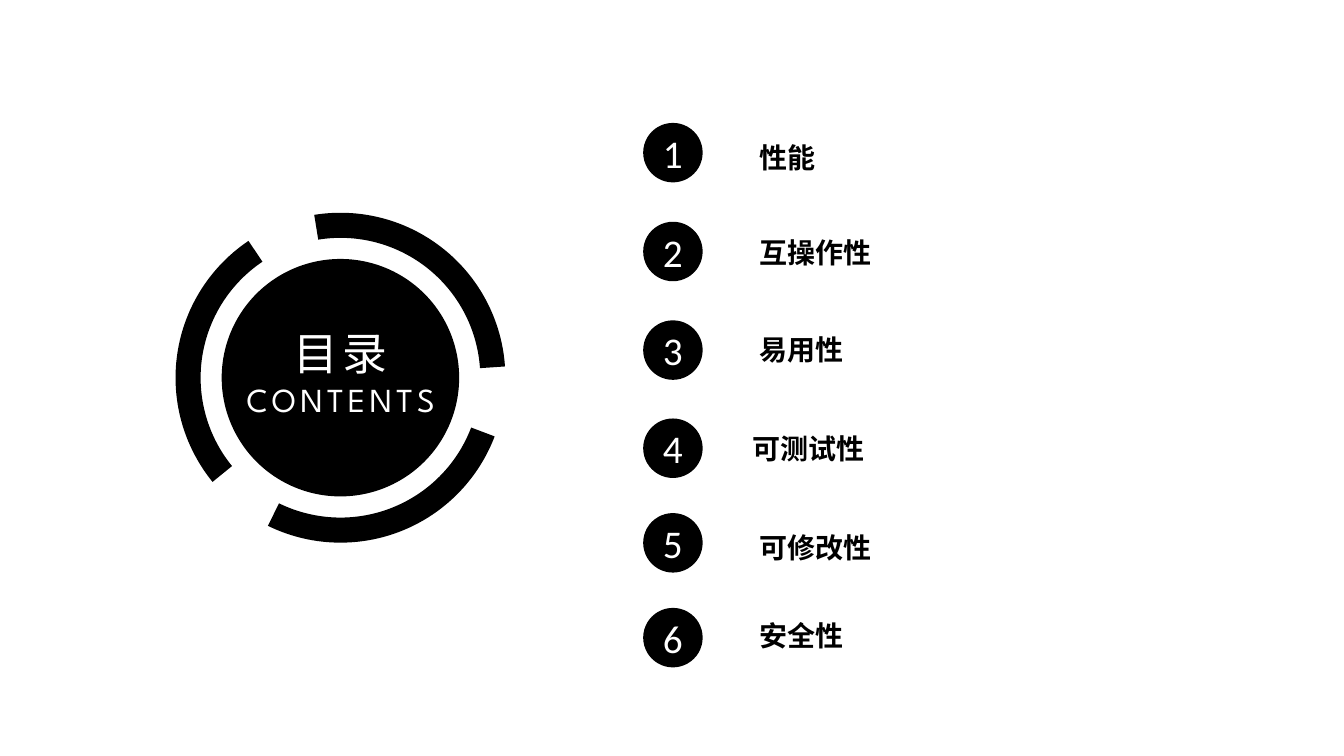
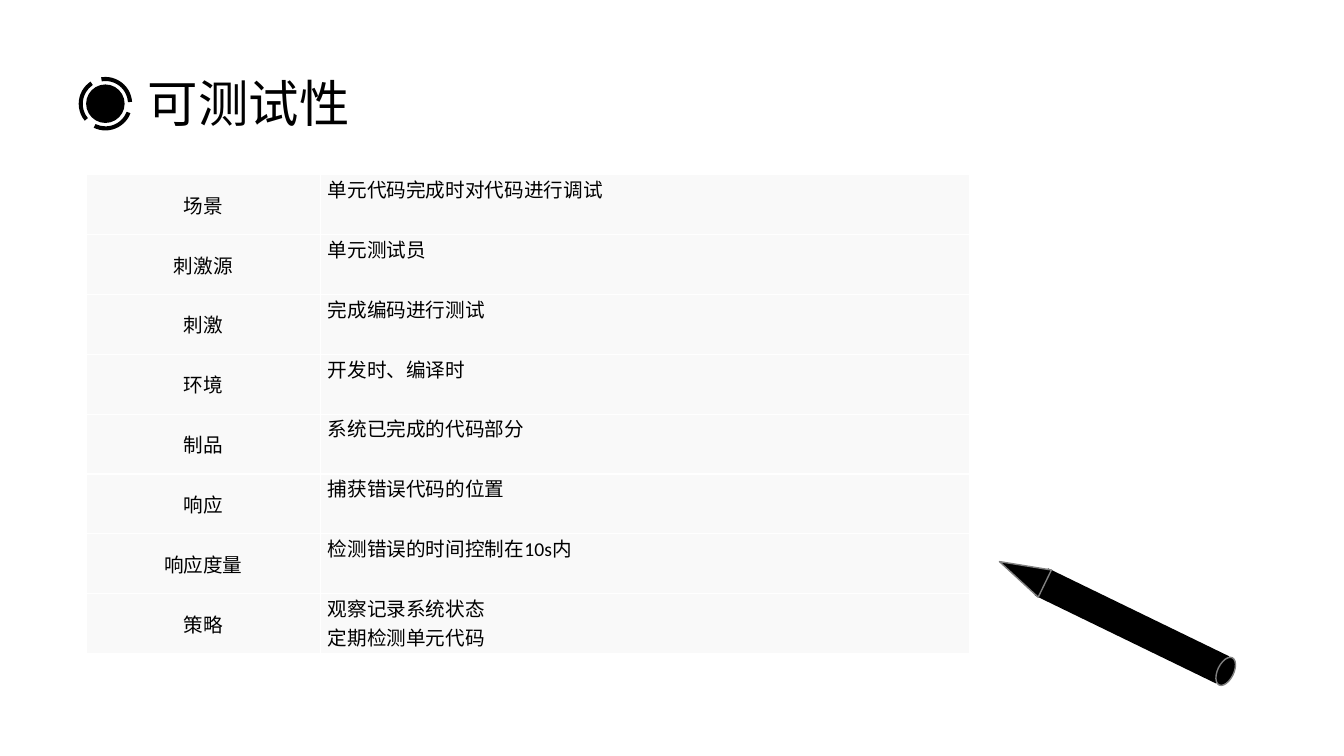
from lxml.etree import SubElement
from pptx import Presentation
from pptx.dml.color import RGBColor
from pptx.enum.shapes import MSO_SHAPE
from pptx.enum.text import MSO_ANCHOR, PP_ALIGN
from pptx.oxml.ns import qn
from pptx.util import Pt

COLORS = {"ink": "000000", "paper": "FFFFFF", "cell": "F9F9F9", "edge": "808080"}
BODY, HEAD, HAN = "Calibri", "League Spartan", "Noto Sans CJK SC"

TOPICS = [
    ("性能", 87.8, 96.5, 535.7),
    ("互操作性", 158.4, 164.2, 535.7),
    ("易用性", 228.8, 234, 535.7),
    ("可测试性", 298.9, 304.6, 530.6),
    ("可修改性", 366.5, 375.1, 535.7),
    ("安全性", 434.2, 437.8, 535.7),
]

ROWS = [
    ("场景", ["单元代码完成时对代码进行调试"]),
    ("刺激源", ["单元测试员"]),
    ("刺激", ["完成编码进行测试"]),
    ("环境", ["开发时、编译时"]),
    ("制品", ["系统已完成的代码部分"]),
    ("响应", ["捕获错误代码的位置"]),
    ("响应度量", ["检测错误的时间控制在10s内"]),
    ("策略", ["观察记录系统状态", "定期检测单元代码"]),
]


def color(name):
    return RGBColor.from_string(COLORS[name])


def write(frame, text, size=14, font=BODY, ink="ink", bold=False,
          align=PP_ALIGN.LEFT, gap=0, more=False):
    para = frame.add_paragraph() if more else frame.paragraphs[0]
    para.alignment = align
    run = para.add_run()
    run.text = text
    run.font.size = Pt(size)
    run.font.name = font
    run.font.bold = bold
    run.font.color.rgb = color(ink)
    props = run.font._element
    SubElement(props, qn("a:ea"), typeface=HAN)
    if gap:
        props.set("spc", str(gap * 100))


def box(slide, x, y, wide, high, anchor=MSO_ANCHOR.TOP):
    frame = slide.shapes.add_textbox(Pt(x), Pt(y), Pt(wide), Pt(high)).text_frame
    frame.word_wrap = True
    frame.vertical_anchor = anchor
    return frame


def solid(shapes, kind, x, y, wide, high, turn=0, edge=None):
    shape = shapes.add_shape(kind, Pt(x), Pt(y), Pt(wide), Pt(high))
    shape.shadow.inherit = False
    shape.rotation = turn
    shape.fill.solid()
    shape.fill.fore_color.rgb = color("ink")
    if edge:
        shape.line.color.rgb = color(edge)
        shape.line.width = Pt(1)
    else:
        shape.line.fill.background()
    return shape


def emblem(slide, x, y, size):
    shapes = slide.shapes.add_group_shape().shapes
    disc = size * 0.72
    inset = (size - disc) / 2
    solid(shapes, MSO_SHAPE.OVAL, x + inset, y + inset, disc, disc)
    for turn in (0, 120, 240):
        arc = solid(shapes, MSO_SHAPE.BLOCK_ARC, x, y, size, size, turn)
        for index, value in enumerate((156.51, 213.66, 0.076)):
            arc.adjustments[index] = value


def badge(slide, number, y):
    disc = solid(slide.shapes, MSO_SHAPE.OVAL, 459.4, y, 42.5, 42.5)
    frame = disc.text_frame
    frame.vertical_anchor = MSO_ANCHOR.MIDDLE
    write(frame, str(number), size=28, ink="paper", align=PP_ALIGN.CENTER)


def pencil(slide):
    shapes = slide.shapes.add_group_shape().shapes
    solid(shapes, MSO_SHAPE.RECTANGLE, 797.8, 375.1, 21.6, 144, 115.9)
    solid(shapes, MSO_SHAPE.OVAL, 864.7, 473.8, 21.6, 11.5, 115.9, "edge")
    solid(shapes, MSO_SHAPE.ISOSCELES_TRIANGLE, 719.3, 391, 21.6, 36, 295.9, "edge")


def border(cell):
    props = cell._tc.get_or_add_tcPr()
    for side in ("lnL", "lnR", "lnT", "lnB"):
        line = SubElement(props, qn(f"a:{side}"), w=str(Pt(1)))
        fill = SubElement(line, qn("a:solidFill"))
        SubElement(fill, qn("a:srgbClr"), val=COLORS["paper"])


def fill(cell, lines, align, anchor):
    border(cell)
    cell.fill.solid()
    cell.fill.fore_color.rgb = color("cell")
    cell.margin_left = cell.margin_right = Pt(5)
    cell.margin_top = cell.margin_bottom = 0
    cell.vertical_anchor = anchor
    for index, line in enumerate(lines):
        write(cell.text_frame, line, align=align, more=index > 0)


def grid(slide):
    high = 42.75
    table = slide.shapes.add_table(
        len(ROWS), 2, Pt(61.4), Pt(124.8), Pt(631.4), Pt(high * len(ROWS))).table
    table.first_row = table.horz_banding = False
    for column, wide in zip(table.columns, (167.8, 463.6)):
        column.width = Pt(wide)
    for index, (label, lines) in enumerate(ROWS):
        table.rows[index].height = Pt(high)
        fill(table.cell(index, 0), [label], PP_ALIGN.CENTER, MSO_ANCHOR.MIDDLE)
        fill(table.cell(index, 1), lines, PP_ALIGN.JUSTIFY, MSO_ANCHOR.TOP)


def contents(slide):
    emblem(slide, 125.4, 152, 235.6)
    frame = box(slide, 158.4, 229, 170, 75)
    style = dict(font=HEAD, ink="paper", align=PP_ALIGN.CENTER, gap=3)
    write(frame, "目录", size=32, **style)
    write(frame, "CONTENTS", size=24, more=True, **style)
    for number, (topic, top, y, x) in enumerate(TOPICS, 1):
        badge(slide, number, top)
        label = box(slide, x, y, 326.9, 31.7, MSO_ANCHOR.MIDDLE)
        write(label, topic, size=20, bold=True)


def testing(slide):
    pencil(slide)
    write(box(slide, 98.6, 48.2, 378, 51), "可测试性", size=36, font=HEAD)
    emblem(slide, 56.2, 55, 38.2)
    grid(slide)


def main():
    deck = Presentation()
    deck.slide_width, deck.slide_height = Pt(960), Pt(540)
    for build in (contents, testing):
        build(deck.slides.add_slide(deck.slide_layouts[6]))
    deck.save("out.pptx")


if __name__ == "__main__":
    main()
